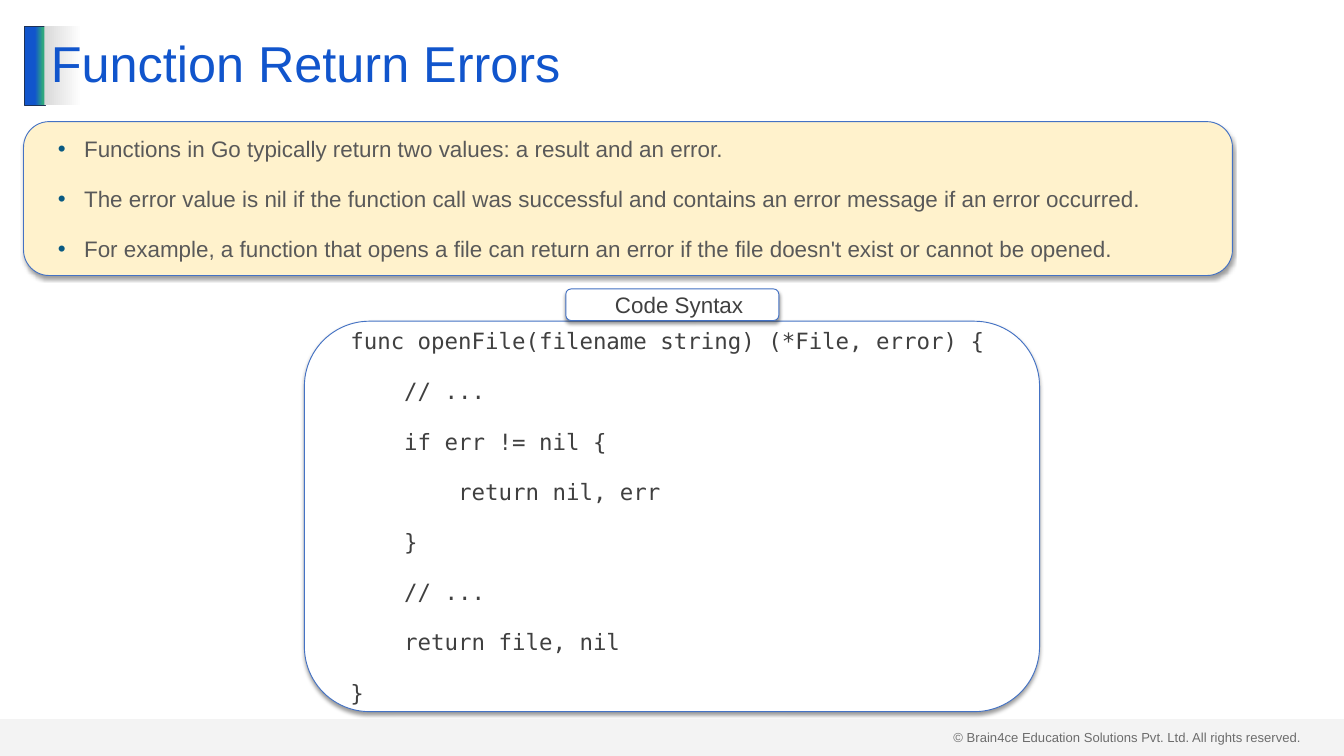
from lxml import etree
from pptx import Presentation
from pptx.dml.color import RGBColor
from pptx.enum.shapes import MSO_SHAPE
from pptx.enum.text import MSO_ANCHOR, PP_ALIGN
from pptx.oxml.ns import qn
from pptx.util import Inches, Pt

RECT, ROUNDED = MSO_SHAPE.RECTANGLE, MSO_SHAPE.ROUNDED_RECTANGLE
LEFT, CENTER = PP_ALIGN.LEFT, PP_ALIGN.CENTER
MIDDLE = MSO_ANCHOR.MIDDLE
BLUE, GREY, DARK = "1155CC", "D9D9D9", "404040"
SANS, MONO = "Arial", "DejaVu Sans Mono"

rgb = RGBColor.from_string


def write(frame, lines, size=24, font=SANS, color=DARK, align=LEFT, margins=(0.1, 0.05),
          indent=0, hanging=0, bullet=None, gap=0, spacing=None):
    """Fill a text frame, one paragraph per line, with lengths in inches and gap in points."""
    frame.word_wrap = True
    frame.margin_left = frame.margin_right = Inches(margins[0])
    frame.margin_top = frame.margin_bottom = Inches(margins[1])
    for i, line in enumerate(lines):
        paragraph = frame.paragraphs[0] if i == 0 else frame.add_paragraph()
        properties = paragraph._p.get_or_add_pPr()
        properties.set("marL", str(Inches(indent)))
        properties.set("indent", str(-Inches(hanging)))
        if bullet:
            bullet_color = etree.SubElement(properties, qn("a:buClr"))
            etree.SubElement(bullet_color, qn("a:srgbClr"), val=bullet)
            etree.SubElement(properties, qn("a:buFont"), typeface=SANS)
            etree.SubElement(properties, qn("a:buChar"), char="•")
        paragraph.alignment = align
        if spacing:
            paragraph.line_spacing = spacing
        if i:
            paragraph.space_before = Pt(gap)
        run = paragraph.add_run()
        run.text = line
        run.font.size = Pt(size)
        run.font.name = font
        run.font.color.rgb = rgb(color)


def add_block(geometry, box, fill=None, stops=None, line=None, shadow=False):
    """Add a shape with a solid fill or a left-to-right gradient of (position, colour) stops."""
    block = slide.shapes.add_shape(geometry, *map(Inches, box))
    if stops:
        block.fill.gradient()
        block.fill.gradient_angle = 0
        for stop, (position, color) in zip(block.fill.gradient_stops, stops):
            stop.position = position
            stop.color.rgb = rgb(color)
    else:
        block.fill.solid()
        block.fill.fore_color.rgb = rgb(fill)
    if line:
        block.line.color.rgb = rgb(line)
        block.line.width = Pt(1)
    else:
        block.line.fill.background()
    block.shadow.inherit = False
    if shadow:
        effects = block._element.spPr.find(qn("a:effectLst"))
        outer = etree.SubElement(effects, qn("a:outerShdw"), blurRad=str(Pt(4)),
                                 dist=str(Pt(3)), dir="5400000", rotWithShape="0")
        shade = etree.SubElement(outer, qn("a:srgbClr"), val="000000")
        etree.SubElement(shade, qn("a:alpha"), val="40000")
    block.text_frame.vertical_anchor = MIDDLE
    return block


prs = Presentation()
prs.slide_width, prs.slide_height = Inches(20), Inches(11.25)
slide = prs.slides.add_slide(prs.slide_layouts[6])

# Footer and title
copyright_line = slide.shapes.add_textbox(Inches(14.09), Inches(10.8), Inches(5.41), Inches(0.34))
write(copyright_line.text_frame,
      ["© Brain4ce Education Solutions Pvt. Ltd. All rights reserved."], size=14)

add_block(RECT, (0.37, 0.39, 0.3, 1.18), stops=[(0.51, BLUE), (0.9, "2EA87D")], line="1E3256")

footer_band = add_block(RECT, (0, 10.7, 20, 0.55), fill=GREY)
band_color = footer_band._element.spPr.find(qn("a:solidFill"))[0]
etree.SubElement(band_color, qn("a:alpha"), val="29000")

title = add_block(RECT, (0.66, 0.39, 18.67, 1.18), stops=[(0, GREY), (0.03, "FFFFFF")])
write(title.text_frame, ["Function Return Errors"], size=54, color=BLUE, spacing=0.9)

# Explanation, code and its label
explanation = [
    "Functions in Go typically return two values: a result and an error.",
    "The error value is nil if the function call was successful and contains an error message "
    "if an error occurred.",
    "For example, a function that opens a file can return an error if the file doesn't exist "
    "or cannot be opened.",
]
code = [
    "func openFile(filename string) (*File, error) {",
    "    // ...",
    "    if err != nil {",
    "        return nil, err",
    "    }",
    "    // ...",
    "    return file, nil",
    "}",
]
panels = [
    ((0.35, 1.81, 17.99, 2.29), "FFF2CC", explanation,
     dict(color="595959", indent=0.59, hanging=0.39, bullet="095A82")),
    ((4.53, 4.78, 10.94, 5.81), "FFFFFF", code, dict(font=MONO, indent=0.2)),
    ((8.42, 4.3, 3.17, 0.47), "FFFFFF", ["Code Syntax"], dict(align=CENTER, indent=0.2)),
]
for box, fill, lines, text_format in panels:
    panel = add_block(ROUNDED, box, fill=fill, line="4472C4", shadow=True)
    write(panel.text_frame, lines, margins=(0.2, 0.1), gap=25, **text_format)

prs.save("out.pptx")
